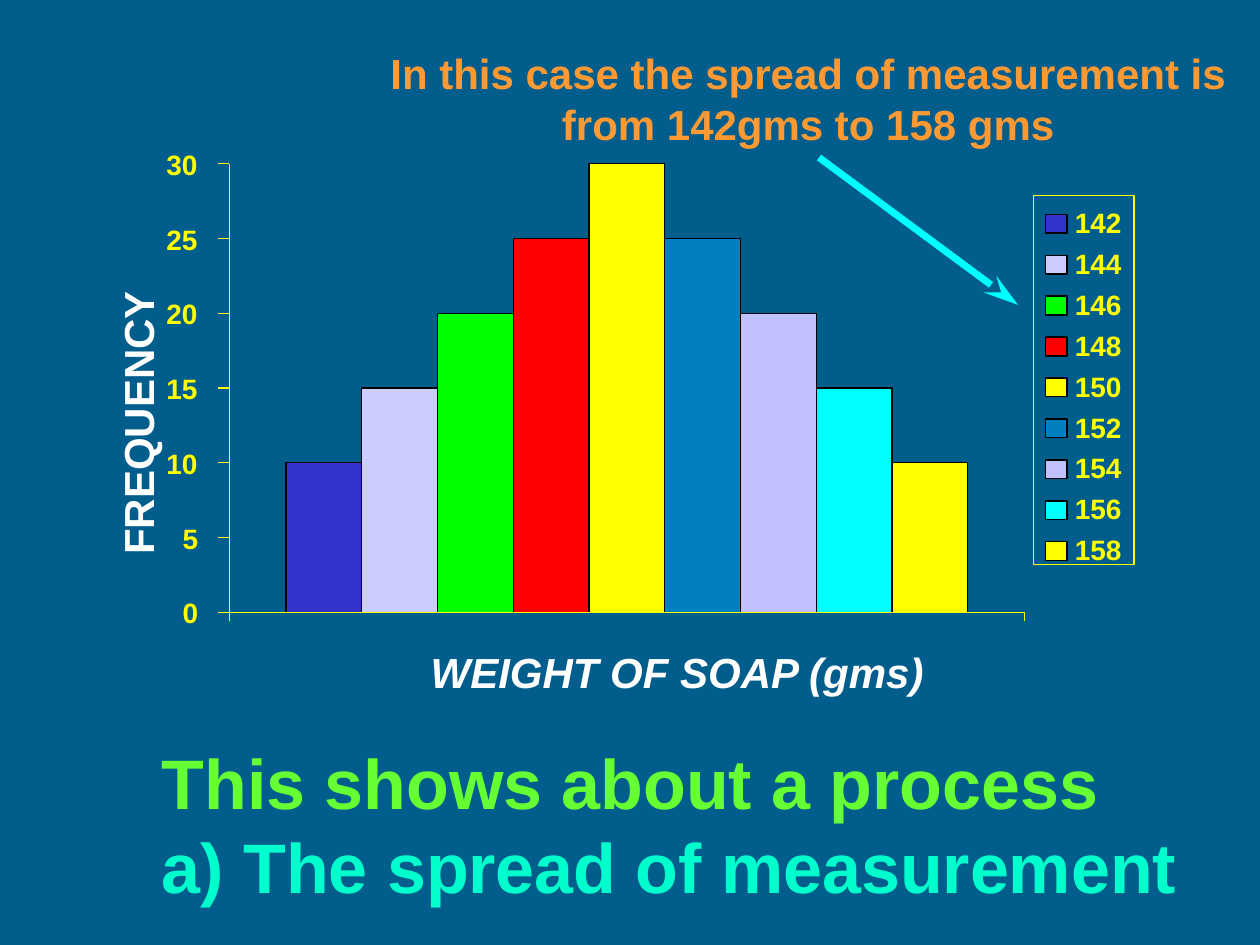
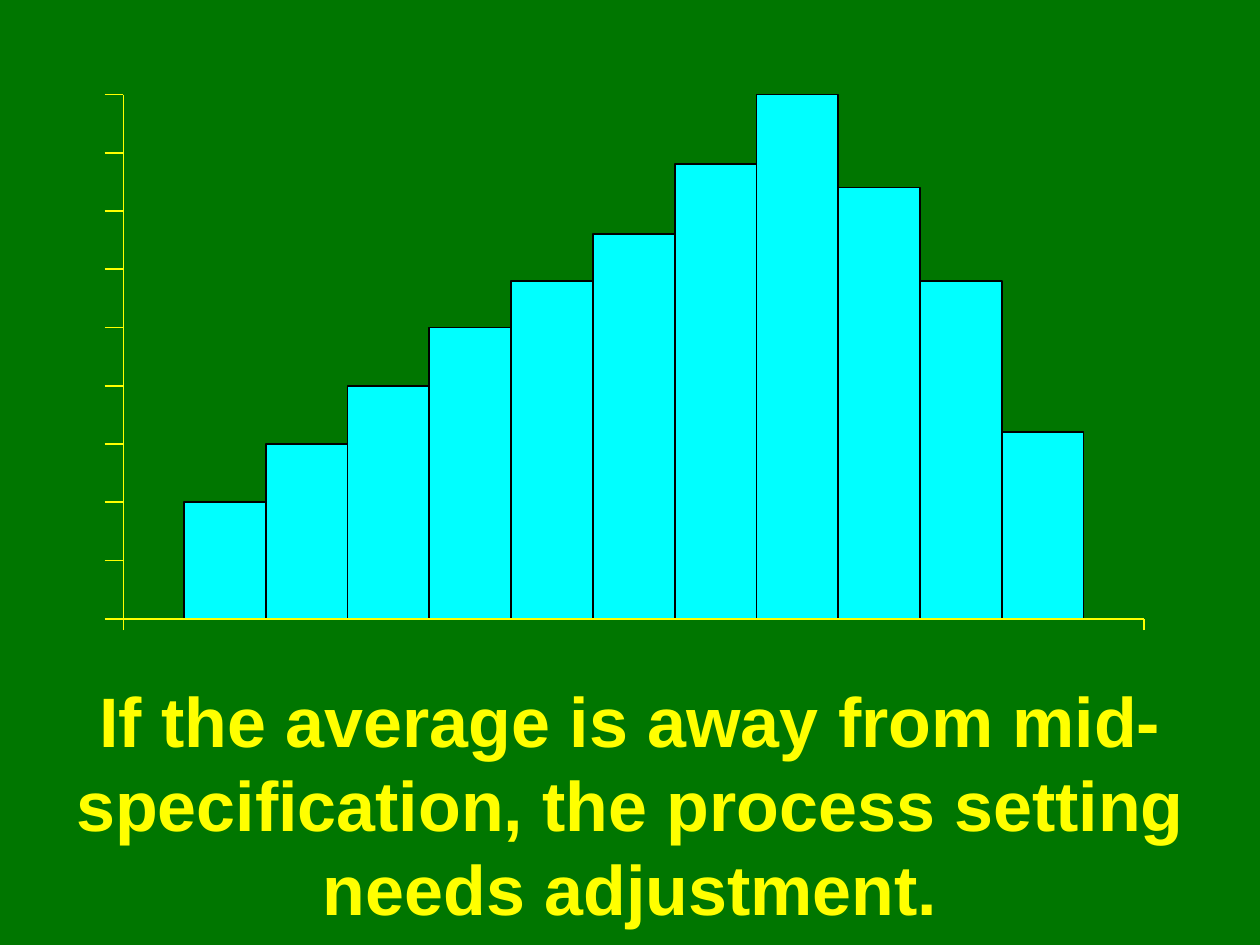
import dataclasses
import typing

import pptx
import pptx.dml.color
import pptx.enum.shapes
import pptx.enum.text
import pptx.oxml
import pptx.oxml.ns
import pptx.util

Inches = pptx.util.Inches
Pt = pptx.util.Pt
ALIGN = pptx.enum.text.PP_ALIGN
FONT = "Arial"
DIGIT = 0.13  # width of one digit in a label
COLORS = {
    "sea": "005D8C", "forest": "007600", "yellow": "FFFF00", "black": "000000",
    "white": "FFFFFF", "orange": "FF9933", "lime": "66FF33", "mint": "00FFCC",
    "cyan": "00FFFF", "indigo": "3333CC", "pale": "CCCCFF", "green": "00FF00",
    "red": "FF0000", "blue": "0080C0", "lilac": "C0C0FF",
}


@dataclasses.dataclass(frozen=True)
class Line:
    text: str
    size: float
    color: str
    italic: bool = False
    indent: float = 0


@dataclasses.dataclass(frozen=True)
class Bar:
    value: float
    color: str
    label: str = ""


@dataclasses.dataclass(frozen=True)
class Plot:
    left: float
    right: float
    top: float
    base: float
    start: float  # left edge of the first bar
    end: float  # right edge of the last bar
    peak: float  # value at the top of the axis
    step: float  # value between two ticks
    tick: float
    drop: float  # length of the ticks below the base
    pen: float

    def level(self, value: float) -> float:
        return self.base - (self.base - self.top) * value / self.peak


def rgb(name: str) -> pptx.dml.color.RGBColor:
    return pptx.dml.color.RGBColor.from_string(COLORS[name])


# Drawing helpers
def add_page(deck: typing.Any, color: str) -> typing.Any:
    page = deck.slides.add_slide(deck.slide_layouts[6])
    page.background.fill.solid()
    page.background.fill.fore_color.rgb = rgb(color)
    return page


def add_text(page: typing.Any, box: tuple, lines: list[Line], align: typing.Any = ALIGN.CENTER,
             wrap: bool = True, inset: bool = True, turn: float = 0) -> None:
    shape = page.shapes.add_textbox(*map(Inches, box))
    shape.rotation = turn
    frame = shape.text_frame
    frame.word_wrap = wrap
    frame.auto_size = pptx.enum.text.MSO_AUTO_SIZE.SHAPE_TO_FIT_TEXT
    if not inset:
        frame.margin_left = frame.margin_right = 0
        frame.margin_top = frame.margin_bottom = 0
    for index, line in enumerate(lines):
        para = frame.add_paragraph() if index else frame.paragraphs[0]
        para.alignment = align
        if line.indent:
            para._p.get_or_add_pPr().set("marL", str(Inches(line.indent)))
        run = para.add_run()
        run.text = line.text
        font = run.font
        font.name, font.size = FONT, Pt(line.size)
        font.bold, font.italic = True, line.italic
        font.color.rgb = rgb(line.color)


def add_rect(page: typing.Any, box: tuple, fill: str | None, edge: str, pen: float) -> None:
    kind = pptx.enum.shapes.MSO_SHAPE.RECTANGLE
    shape = page.shapes.add_shape(kind, *map(Inches, box))
    shape.shadow.inherit = False
    if fill:
        shape.fill.solid()
        shape.fill.fore_color.rgb = rgb(fill)
    else:
        shape.fill.background()
    shape.line.color.rgb = rgb(edge)
    shape.line.width = Pt(pen)


def add_line(page: typing.Any, ends: tuple, color: str, pen: float, arrow: bool = False) -> None:
    kind = pptx.enum.shapes.MSO_CONNECTOR.STRAIGHT
    link = page.shapes.add_connector(kind, *map(Inches, ends))
    link.line.color.rgb = rgb(color)
    link.line.width = Pt(pen)
    space = pptx.oxml.ns.nsdecls("a")
    if arrow:
        tail = pptx.oxml.parse_xml(f'<a:tailEnd {space} type="stealth" w="med" len="lg"/>')
        link.line._get_or_add_ln().append(tail)
    link._element.spPr.append(pptx.oxml.parse_xml(f"<a:effectLst {space}/>"))


def add_plot(page: typing.Any, plot: Plot, bars: list[Bar]) -> None:
    width = (plot.end - plot.start) / len(bars)
    for index, bar in enumerate(bars):
        top = plot.level(bar.value)
        box = (plot.start + index * width, top, width, plot.base - top)
        add_rect(page, box, bar.color, "black", plot.pen)
    ends = [(plot.left, plot.top, plot.left, plot.base),
            (plot.left, plot.base, plot.right, plot.base)]
    for count in range(round(plot.peak / plot.step) + 1):
        y = plot.level(count * plot.step)
        ends.append((plot.left - plot.tick, y, plot.left, y))
    for x in (plot.left, plot.right):
        ends.append((x, plot.base + plot.drop, x, plot.base))
    for pair in ends:
        add_line(page, pair, "yellow", plot.pen)


def add_label(page: typing.Any, left: float, mid: float, text: str) -> None:
    box = (left, mid - 0.13, DIGIT * len(text), 0.27)
    add_text(page, box, [Line(text, 16, "yellow")], ALIGN.LEFT, wrap=False, inset=False)


def add_legend(page: typing.Any, bars: list[Bar]) -> None:
    add_rect(page, (8.2, 1.55, 0.8, 2.93), None, "yellow", 0.75)
    for index, bar in enumerate(bars):
        mid = 1.77 + index * 0.325
        add_rect(page, (8.3, mid - 0.07, 0.17, 0.15), bar.color, "black", 0.75)
        add_label(page, 8.53, mid - 0.01, bar.label)


# Slide 1: spread of soap weights
def add_spread(deck: typing.Any) -> None:
    page = add_page(deck, "sea")
    add_text(page, (0, 5.82, 10, 1.43), [
        Line("This shows about a process", 40, "lime"),
        Line("a) The spread of measurement", 40, "mint", indent=0.62),
    ])
    add_text(page, (2.83, 0.33, 7.17, 0.9), [
        Line("In this case the spread of measurement is from 142gms to 158 gms", 24, "orange"),
    ])
    add_line(page, (6.5, 1.25, 8.08, 2.42), "cyan", 4, arrow=True)

    counts = (10, 15, 20, 25, 30, 25, 20, 15, 10)
    hues = ("indigo", "pale", "green", "red", "yellow", "blue", "lilac", "cyan", "yellow")
    bars = [Bar(count, hue, str(142 + 2 * index))
            for index, (count, hue) in enumerate(zip(counts, hues))]
    plot = Plot(left=1.82, right=8.13, top=1.3, base=4.86, start=2.27, end=7.68,
                peak=30, step=5, tick=0.09, drop=0.07, pen=0.75)
    add_plot(page, plot, bars)
    for value in range(0, plot.peak + 1, plot.step):
        text = str(value)
        add_label(page, 1.58 - DIGIT * len(text), plot.level(value), text)
    add_legend(page, bars)
    add_text(page, (2.04, 5.08, 6.67, 0.5),
             [Line("WEIGHT OF SOAP (gms)", 24, "white", italic=True)])
    add_text(page, (-0.06, 3.1, 2.3, 0.5), [Line("FREQUENCY", 24, "white")],
             ALIGN.LEFT, wrap=False, turn=270)


# Slide 2: average away from the middle
def add_shift(deck: typing.Any) -> None:
    page = add_page(deck, "forest")
    add_text(page, (0, 5.33, 10, 2.1), [
        Line("If the average is away from mid-specification, "
             "the process setting needs adjustment.", 40, "yellow"),
    ])
    values = (2, 3, 4, 5, 5.8, 6.6, 7.8, 9, 7.4, 5.8, 3.2)
    plot = Plot(left=0.98, right=9.08, top=0.75, base=4.91, start=1.46, end=8.6,
                peak=9, step=1, tick=0.15, drop=0.09, pen=1)
    add_plot(page, plot, [Bar(value, "cyan") for value in values])


def main() -> None:
    deck = pptx.Presentation()
    deck.slide_width, deck.slide_height = Inches(10), Inches(7.5)
    add_spread(deck)
    add_shift(deck)
    deck.save("out.pptx")


if __name__ == "__main__":
    main()
